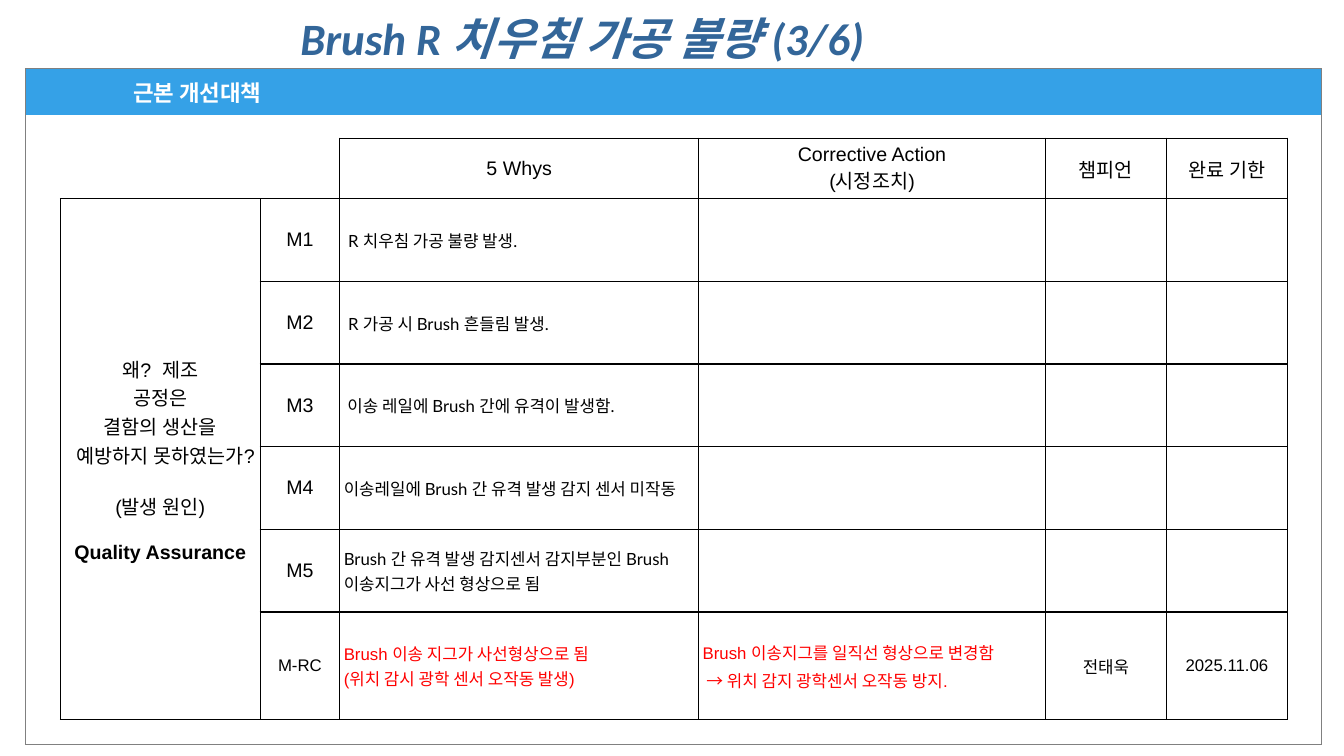
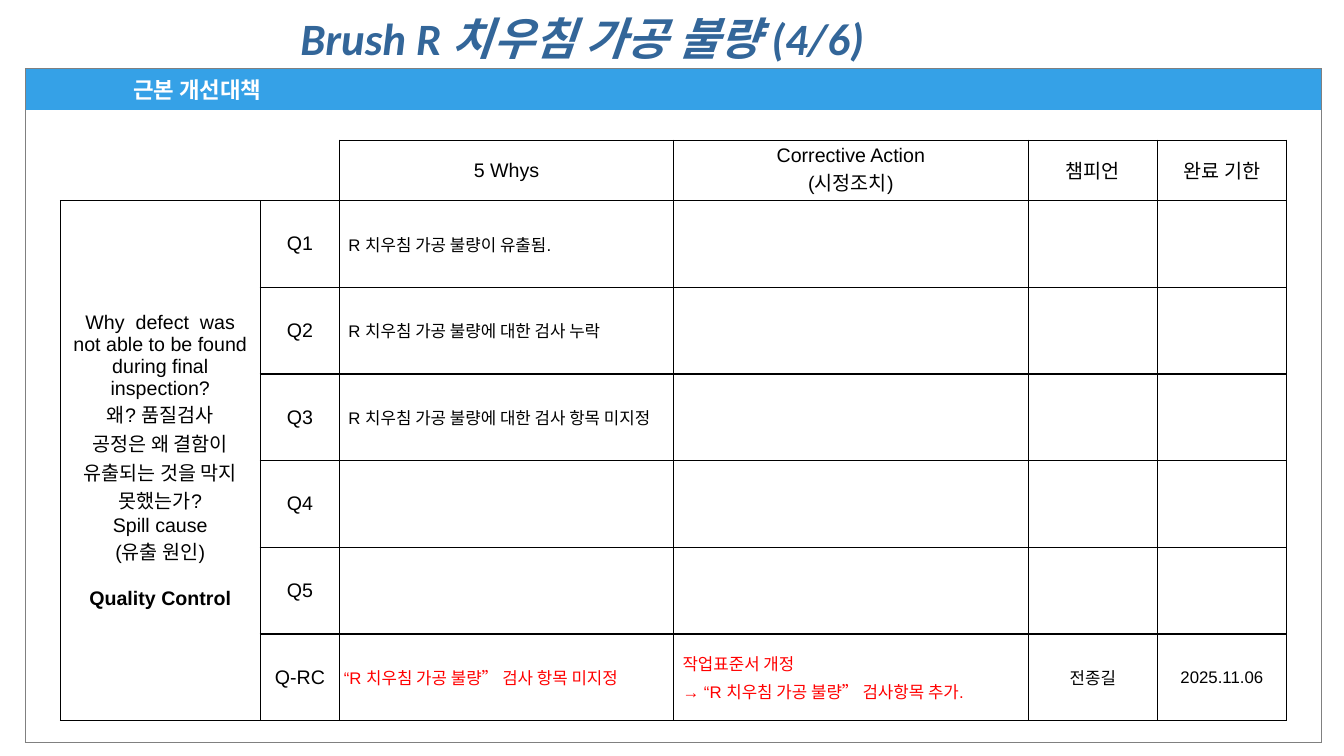
from lxml import etree
from pptx import Presentation
from pptx.dml.color import RGBColor
from pptx.enum.text import MSO_ANCHOR, PP_ALIGN
from pptx.oxml.ns import qn
from pptx.util import Inches, Pt

BLUE = RGBColor(0x35, 0xA1, 0xE7)
DIVIDER = RGBColor(0x30, 0x96, 0xDB)
NAVY = RGBColor(0x33, 0x66, 0x99)
GRAY = RGBColor(0x80, 0x80, 0x80)
BLACK = RGBColor(0, 0, 0)
RED = RGBColor(0xFF, 0, 0)
WHITE = RGBColor(0xFF, 0xFF, 0xFF)
KOREAN = "Noto Sans CJK KR"
HEADERS = ["5 Whys", "Corrective Action\n(시정조치)", "챔피언", "완료 기한"]

SLIDES = [
    dict(
        page="3/6", band_rows=[0.46, 6.24], top=1.37,
        cols=[1.98, 0.79, 3.56, 3.44, 1.2, 1.2],
        rows=[0.6] + [0.82] * 5 + [1.07],
        # Each line: text, space before, bold
        question=[("왜?  제조", 0, False), ("공정은", 0, False),
                  ("결함의 생산을 예방하지 못하였는가?", 0, False),
                  ("(발생 원인)", 16, False), ("Quality Assurance", 16, True)],
        letter="M", root_size=12, why_font="Lato", action_inset=0.04,
        whys=[" R 치우침 가공 불량 발생.",
              " R 가공 시 Brush 흔들림 발생.",
              " 이송 레일에 Brush 간에 유격이 발생함.",
              "이송레일에 Brush 간 유격 발생 감지 센서 미작동",
              "Brush 간 유격 발생 감지센서 감지부분인 Brush 이송지그가 사선 형상으로 됨",
              "Brush 이송 지그가 사선형상으로 됨\n(위치 감시 광학 센서 오작동 발생)"],
        action="Brush 이송지그를 일직선 형상으로 변경함\n → 위치 감지 광학센서 오작동 방지.",
        champion="전태욱",
    ),
    dict(
        page="4/6", band_rows=[0.41, 6.27], top=1.39,
        cols=[1.98, 0.79, 3.31, 3.52, 1.28, 1.28],
        rows=[0.6] + [0.86] * 6,
        question=[("Why  defect  was not able to be found during final inspection?", 0, False),
                  ("왜? 품질검사", 0, False),
                  ("공정은 왜 결함이 유출되는 것을 막지 못했는가?", 0, False),
                  ("Spill cause", 0, False), ("(유출 원인)", 0, False),
                  ("Quality Control", 16, True)],
        letter="Q", root_size=14, why_font="Arial", action_inset=0.09,
        whys=[" R 치우침 가공 불량이 유출됨.",
              " R 치우침 가공 불량에 대한 검사 누락",
              " R 치우침 가공 불량에 대한 검사 항목 미지정",
              "", "",
              "“R 치우침 가공 불량” 검사 항목 미지정"],
        action="작업표준서 개정\n→ “R 치우침 가공 불량” 검사항목 추가.",
        champion="전종길",
    ),
]


def write(tf, lines, size, font="Arial", color=BLACK, align=PP_ALIGN.CENTER, italic=False):
    """Put (text, space before, bold) lines into a text frame."""
    for i, (text, before, bold) in enumerate(lines):
        p = tf.paragraphs[0] if i == 0 else tf.add_paragraph()
        p.alignment = align
        if before and i:
            p.space_before = Pt(before)
        r = p.add_run()
        r.text = text
        r.font.size, r.font.name = Pt(size), font
        r.font.bold, r.font.italic = bold, italic
        r.font.color.rgb = color
        ea = etree.SubElement(r.font._element, qn("a:ea"))
        ea.set("typeface", KOREAN)


def frame(cell, sides, color, width, fill=None):
    """Draw the given sides (any of LRTB) and the fill of a cell."""
    tc_pr = cell._tc.get_or_add_tcPr()
    for side in "LRTB":
        ln = etree.SubElement(tc_pr, qn("a:ln" + side), w=str(Pt(width)))
        if side in sides:
            solid = etree.SubElement(ln, qn("a:solidFill"))
            etree.SubElement(solid, qn("a:srgbClr"), val=str(color))
        else:
            etree.SubElement(ln, qn("a:noFill"))
    if fill is None:
        cell.fill.background()
    else:
        cell.fill.solid()
        cell.fill.fore_color.rgb = fill


prs = Presentation()
prs.slide_width, prs.slide_height = Inches(13.33), Inches(7.5)

for data in SLIDES:
    s = prs.slides.add_slide(prs.slide_layouts[6])
    tables = []
    # Band with the page panel, then the grid of whys
    for left, top, cols, rows in [(0.25, 0.68, [0.97, 11.89], data["band_rows"]),
                                  (0.6, data["top"], data["cols"], data["rows"])]:
        tbl = s.shapes.add_table(len(rows), len(cols), Inches(left), Inches(top),
                                 Inches(sum(cols)), Inches(sum(rows))).table
        tbl.first_row = tbl.horz_banding = False
        for col, width in zip(tbl.columns, cols):
            col.width = Inches(width)
        for row, height in zip(tbl.rows, rows):
            row.height = Inches(height)
        tables.append(tbl)
    band, grid = tables

    # Band and panel
    for c, sides in enumerate(["LT", "RT"]):
        cell = band.cell(0, c)
        frame(cell, sides, GRAY, 0.5, BLUE)
        cell.margin_top = cell.margin_bottom = 0
        cell.vertical_anchor = MSO_ANCHOR.MIDDLE
        frame(band.cell(1, c), "LRB", GRAY, 0.5, WHITE)
    divider = band.cell(0, 0)._tc.tcPr.find(qn("a:lnR"))
    divider.remove(divider[0])
    solid = etree.SubElement(divider, qn("a:solidFill"))
    etree.SubElement(solid, qn("a:srgbClr"), val=str(DIVIDER))
    write(band.cell(0, 1).text_frame, [("근본 개선대책", 0, True)], 16, KOREAN, WHITE,
          PP_ALIGN.LEFT)
    band.cell(1, 0).merge(band.cell(1, 1))

    # Grid lines, with an open corner at top left
    for r in range(len(data["rows"])):
        for c in range(len(data["cols"])):
            cell = grid.cell(r, c)
            frame(cell, "RB" if r == 0 and c < 2 else "LRTB", BLACK, 1)
            cell.vertical_anchor = MSO_ANCHOR.MIDDLE
            inset = 0.04 if r and c > 1 or r == 6 else 0.11
            cell.margin_left = cell.margin_right = Inches(inset)
    grid.cell(0, 0).merge(grid.cell(0, 1))
    grid.cell(1, 0).merge(grid.cell(6, 0))

    # Headings and question
    for c, text in enumerate(HEADERS, 2):
        write(grid.cell(0, c).text_frame, [(t, 0, False) for t in text.split("\n")], 14)
    write(grid.cell(1, 0).text_frame, data["question"], 14)

    # Whys, the last one being the root cause
    for r, why in enumerate(data["whys"], 1):
        root = r == 6
        label = data["letter"] + ("-RC" if root else str(r))
        write(grid.cell(r, 1).text_frame, [(label, 0, False)],
              data["root_size"] if root else 14)
        if why:
            write(grid.cell(r, 2).text_frame, [(t, 0, False) for t in why.split("\n")], 12,
                  "Arial" if root else data["why_font"], RED if root else BLACK,
                  PP_ALIGN.LEFT)

    # Action, champion and due date
    cell = grid.cell(6, 3)
    cell.margin_left = cell.margin_right = Inches(data["action_inset"])
    write(cell.text_frame, [(t, 2.4, False) for t in data["action"].split("\n")], 12,
          color=RED, align=PP_ALIGN.LEFT)
    for c, text in [(4, data["champion"]), (5, "2025.11.06")]:
        write(grid.cell(6, c).text_frame, [(text, 0, False)], 12)

    # Title
    tf = s.shapes.add_textbox(Inches(2.88), Inches(0.16), Inches(8.55), Inches(0.54)).text_frame
    tf.word_wrap = True
    write(tf, [(f"Brush R 치우침 가공 불량 ({data['page']})", 0, True)], 32, "Calibri", NAVY,
          PP_ALIGN.LEFT, True)
    tf.paragraphs[0].line_spacing = 0.8

prs.save("out.pptx")
